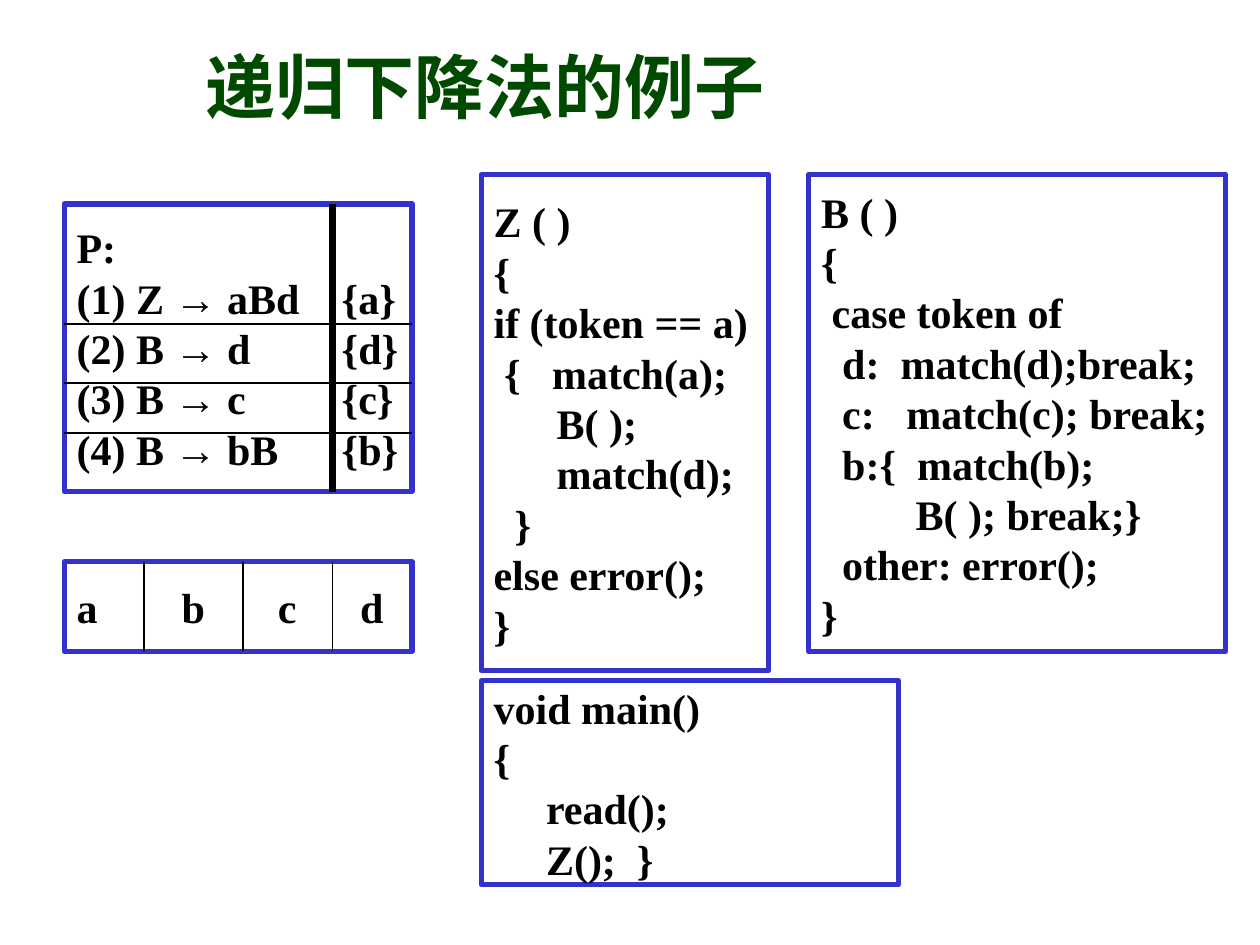
from typing import NamedTuple

from lxml.etree import SubElement
from pptx import Presentation
from pptx.dml.color import RGBColor
from pptx.enum.shapes import MSO_CONNECTOR, MSO_SHAPE
from pptx.enum.text import MSO_ANCHOR, MSO_AUTO_SIZE, PP_ALIGN
from pptx.oxml.ns import qn
from pptx.util import Pt

SERIF, SANS, CJK = "Times New Roman", "Arial", "Noto Sans CJK KR"
BLACK, BLUE, GREEN = "000000", "3333CC", "004A00"
ARROW = "→"


class Box(NamedTuple):
    left: float
    top: float
    width: float
    height: float
    lines: list[str]
    tabs: tuple[float, ...] = ()

    @property
    def right(self) -> float:
        return self.left + self.width

    @property
    def bottom(self) -> float:
        return self.top + self.height


def color(code: str) -> RGBColor:
    return RGBColor.from_string(code)


def add_run(para, text: str, face: str, size: float, code: str) -> None:
    run = para.add_run()
    run.text = text
    font = run.font
    font.size, font.bold, font.name = Pt(size), True, face
    font.color.rgb = color(code)
    SubElement(font._element, qn("a:ea")).set("typeface", face)


def set_tabs(para, stops: tuple[float, ...]) -> None:
    if stops:
        tabs = SubElement(para._p.get_or_add_pPr(), qn("a:tabLst"))
        for stop in stops:
            SubElement(tabs, qn("a:tab"), pos=str(Pt(stop)), algn="l")


def draw_box(slide, box: Box) -> None:
    shape = slide.shapes.add_shape(
        MSO_SHAPE.RECTANGLE, Pt(box.left), Pt(box.top), Pt(box.width), Pt(box.height))
    shape.shadow.inherit = False
    shape.fill.background()
    shape.line.color.rgb = color(BLUE)
    shape.line.width = Pt(3)
    frame = shape.text_frame
    frame.word_wrap = True
    frame.vertical_anchor = MSO_ANCHOR.MIDDLE
    frame.margin_right = Pt(0)
    for i, line in enumerate(box.lines):
        para = frame.add_paragraph() if i else frame.paragraphs[0]
        para.alignment = PP_ALIGN.LEFT
        para.line_spacing = Pt(28.8)
        set_tabs(para, box.tabs)
        # The arrow is set in the sans face
        head, arrow, tail = line.partition(ARROW)
        for text, face in ((head, SERIF), (arrow, SANS), (tail, SERIF)):
            if text:
                add_run(para, text, face, 24, BLACK)


def draw_line(slide, x1: float, y1: float, x2: float, y2: float, width: float = 1) -> None:
    line = slide.shapes.add_connector(
        MSO_CONNECTOR.STRAIGHT, Pt(x1), Pt(y1), Pt(x2), Pt(y2))
    line.line.color.rgb = color(BLACK)
    line.line.width = Pt(width)
    SubElement(line._element.spPr, qn("a:effectLst"))


def draw_title(slide, text: str) -> None:
    title = slide.shapes.title
    title.left, title.top, title.width, title.height = Pt(110), Pt(26), Pt(469), Pt(46)
    frame = title.text_frame
    frame.auto_size = MSO_AUTO_SIZE.NONE
    frame.vertical_anchor = MSO_ANCHOR.MIDDLE
    para = frame.paragraphs[0]
    para.alignment = PP_ALIGN.LEFT
    add_run(para, text, CJK, 40, GREEN)


GRAMMAR = Box(36.7, 116.6, 198.7, 164.3, [
    "P:",
    "(1) Z → aBd\t{a}",
    "(2) B → d\t{d}",
    "(3) B → c\t{c}",
    "(4) B → bB\t{b}",
], (151.5,))
TOKENS = Box(36.7, 321, 198.7, 51.2, ["a\tb\tc\td"], (60, 115, 162))
PROC_Z = Box(275, 99.8, 164.2, 283.5, [
    "Z ( )",
    "{",
    "if (token == a)",
    " {   match(a);",
    "      B( );",
    "      match(d);",
    "  }",
    "else error();",
    "}",
])
PROC_B = Box(462.2, 99.8, 238.3, 272.4, [
    "B ( )",
    "{",
    " case token of",
    "  d:  match(d);break;",
    "  c:   match(c); break;",
    "  b:{  match(b);",
    "         B( ); break;}",
    "  other: error();",
    "}",
])
MAIN = Box(275, 389, 238.3, 116.6, [
    "void main()",
    "{",
    "     read();",
    "     Z();  }",
])
SPLIT = 190  # column edge shared by the grammar and the tokens


def main() -> None:
    deck = Presentation()
    deck.slide_width, deck.slide_height = Pt(720), Pt(540)
    slide = deck.slides.add_slide(deck.slide_layouts[5])
    draw_title(slide, "递归下降法的例子")

    # Grammar with its predict sets
    draw_box(slide, GRAMMAR)
    draw_line(slide, SPLIT, GRAMMAR.top, SPLIT, GRAMMAR.bottom, 4)
    for y in (185, 218.9, 247.5):
        draw_line(slide, GRAMMAR.left, y, GRAMMAR.right, y)

    # Token row
    draw_box(slide, TOKENS)
    for x in (82.1, 138.8, SPLIT):
        draw_line(slide, x, TOKENS.top, x, TOKENS.bottom)

    # Procedures
    for box in (PROC_Z, PROC_B, MAIN):
        draw_box(slide, box)

    deck.save("out.pptx")


if __name__ == "__main__":
    main()
